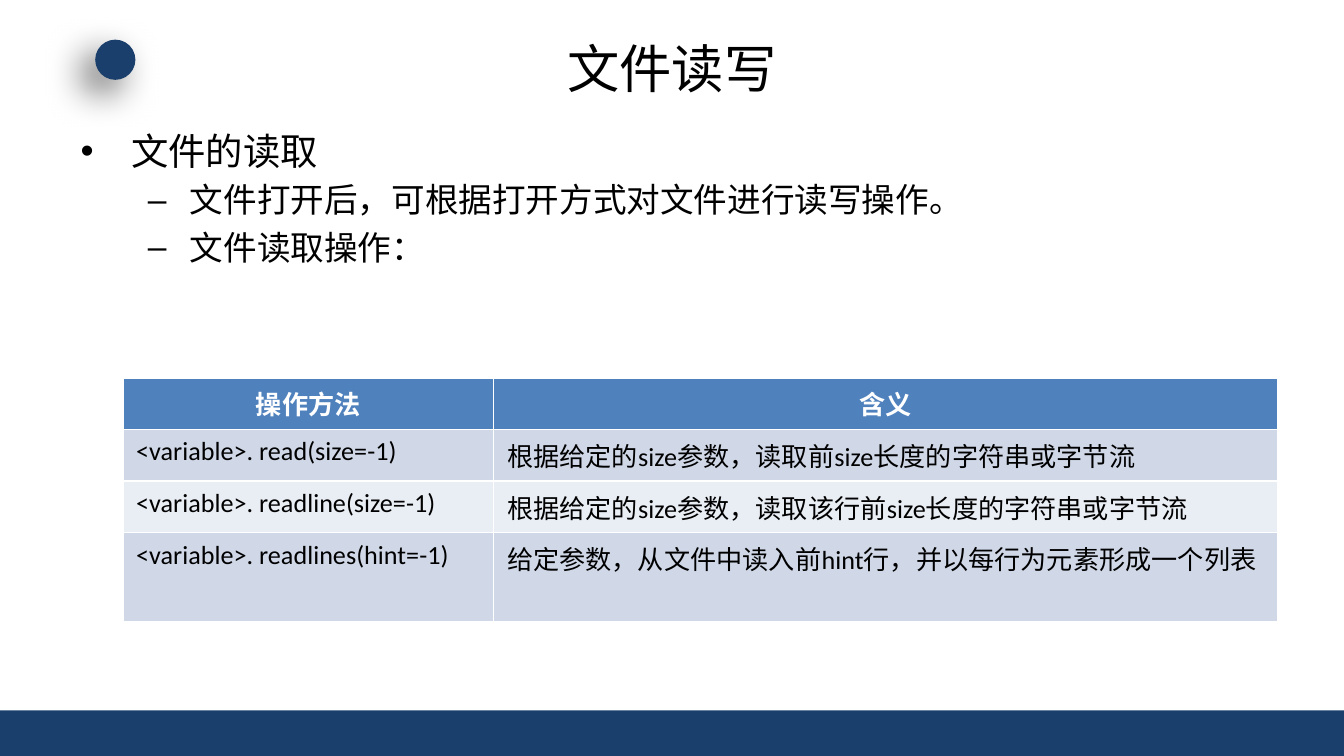
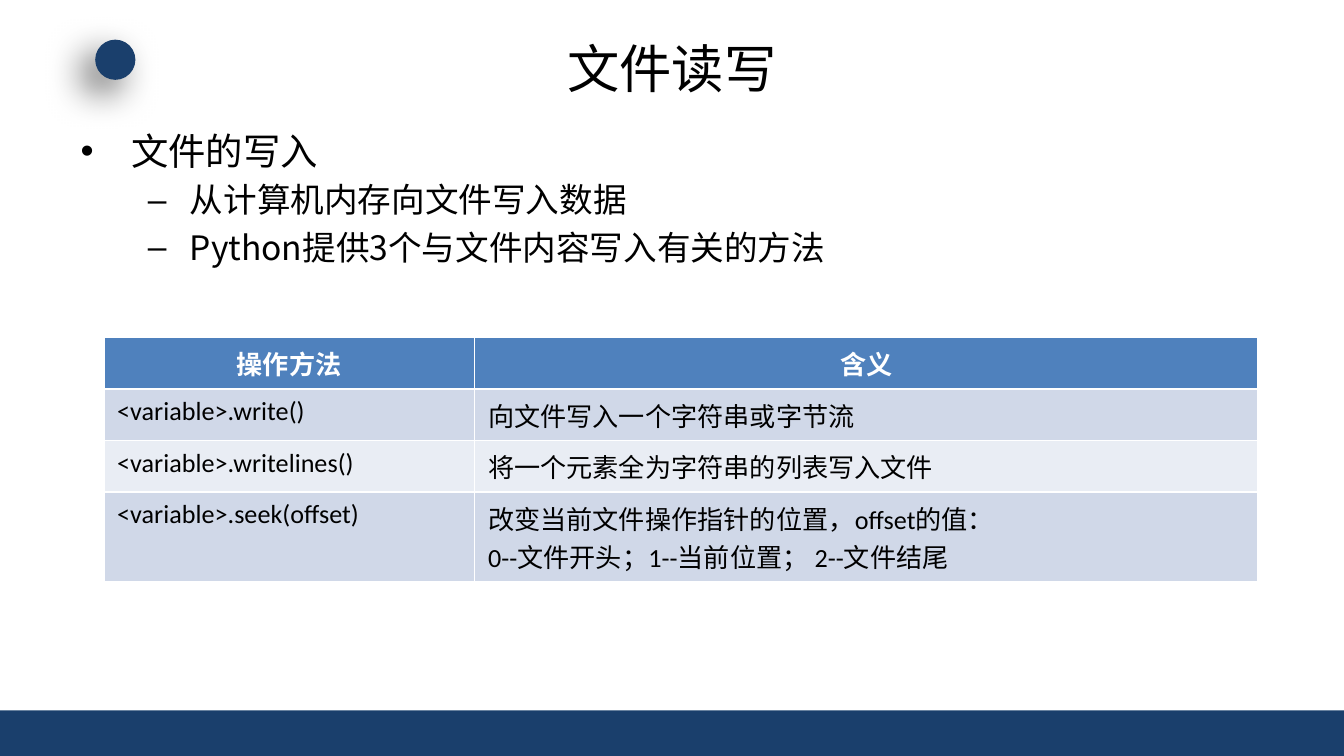
from lxml import etree
from pptx import Presentation
from pptx.dml.color import RGBColor
from pptx.enum.shapes import MSO_SHAPE as Preset
from pptx.enum.text import MSO_ANCHOR as Anchor, PP_ALIGN as Align
from pptx.oxml import parse_xml
from pptx.oxml.ns import nsdecls, qn
from pptx.util import Cm, Pt

NAVY = "1A3F6C"
BLACK = "000000"
WHITE = "FFFFFF"
HEADER_BLUE = "4F81BD"
ROW_BANDS = ("D0D8E8", "E9EDF4")
CJK_FONT = "Noto Sans CJK SC"
TABLE_FONT = "Calibri"
BODY_SIZES = (20, 18)
COLUMN_WIDTHS = (7.01, 14.81)
TABLE_HEADINGS = ("操作方法", "含义")


def color(value):
    return RGBColor.from_string(value)


def place(shape, left, top, width, height):
    shape.left, shape.top = Cm(left), Cm(top)
    shape.width, shape.height = Cm(width), Cm(height)


def add_text(paragraph, text, size, font_name=CJK_FONT, text_color=BLACK, bold=False):
    run = paragraph.add_run()
    run.text = text
    run.font.size = Pt(size)
    run.font.bold = bold
    run.font.name = font_name
    run.font.color.rgb = color(text_color)
    properties = run.font._element
    properties.set("lang", "zh-CN")
    east_asian = etree.Element(qn("a:ea"), typeface=CJK_FONT)
    properties.find(qn("a:latin")).addnext(east_asian)


def add_plain_shape(slide, preset, left, top, width, height):
    shape = slide.shapes.add_shape(preset, Cm(left), Cm(top), Cm(width), Cm(height))
    shape.shadow.inherit = False
    shape.fill.solid()
    shape.fill.fore_color.rgb = color(NAVY)
    shape.line.fill.background()
    return shape


def add_soft_shadow(shape):
    effects = shape.element.spPr.find(qn("a:effectLst"))
    effects.append(parse_xml(
        f'<a:outerShdw {nsdecls("a")} blurRad="{Pt(20)}" dist="{Pt(10)}" '
        f'dir="8100000" algn="tr" rotWithShape="0"><a:srgbClr val="{BLACK}">'
        '<a:alpha val="60000"/></a:srgbClr></a:outerShdw>'
    ))


def decorate_layout(layout, slide):
    band = add_plain_shape(slide, Preset.RECTANGLE, 0, 13.43, 25.4, 0.86)
    dot = add_plain_shape(slide, Preset.OVAL, 1.8, 0.75, 0.76, 0.76)
    add_soft_shadow(dot)
    for index, shape in enumerate((band, dot)):
        shape.element.nvSpPr.cNvPr.set("id", str(20 + index))
        layout.shapes.element.insert(2 + index, shape.element)


def fill_title(slide, text):
    title = slide.shapes.title
    place(title, 1.27, 0.58, 22.86, 1.4)
    title.text_frame.vertical_anchor = Anchor.MIDDLE
    paragraph = title.text_frame.paragraphs[0]
    paragraph.alignment = Align.CENTER
    add_text(paragraph, text, 28)


def fill_body(slide, height, heading, points):
    body = slide.placeholders[1]
    place(body, 1.27, 2.29, 23.19, height)
    frame = body.text_frame
    first = frame.paragraphs[0]
    first.space_before = Pt(0)
    add_text(first, heading, BODY_SIZES[0])
    for point in points:
        paragraph = frame.add_paragraph()
        paragraph.level = 1
        add_text(paragraph, point, BODY_SIZES[1])


def fill_cell(cell, text, fill, is_header):
    cell.fill.solid()
    cell.fill.fore_color.rgb = color(fill)
    frame = cell.text_frame
    for index, line in enumerate(text.split("\n")):
        paragraph = frame.add_paragraph() if index else frame.paragraphs[0]
        if is_header:
            paragraph.alignment = Align.CENTER
        add_text(paragraph, line, 14, TABLE_FONT, WHITE if is_header else BLACK, is_header)


def add_method_table(slide, left, top, row_heights, methods):
    rows = [TABLE_HEADINGS, *methods]
    frame = slide.shapes.add_table(
        len(rows), len(COLUMN_WIDTHS), Cm(left), Cm(top),
        Cm(sum(COLUMN_WIDTHS)), Cm(sum(row_heights)),
    )
    table = frame.table
    for column, width in zip(table.columns, COLUMN_WIDTHS):
        column.width = Cm(width)
    for index, (row, height, texts) in enumerate(zip(table.rows, row_heights, rows)):
        row.height = Cm(height)
        fill = ROW_BANDS[(index - 1) % 2] if index else HEADER_BLUE
        for cell, text in zip(row.cells, texts):
            fill_cell(cell, text, fill, index == 0)


def add_topic_slide(presentation, layout):
    slide = presentation.slides.add_slide(layout)
    fill_title(slide, "文件读写")
    return slide


def main():
    presentation = Presentation()
    presentation.slide_width, presentation.slide_height = Cm(25.4), Cm(14.29)
    layout = presentation.slide_layouts[1]

    reading = add_topic_slide(presentation, layout)
    decorate_layout(layout, reading)
    fill_body(reading, 10.95, "文件的读取", [
        "文件打开后，可根据打开方式对文件进行读写操作。",
        "文件读取操作：",
    ])
    add_method_table(reading, 2.32, 7.14, (0.51, 0.74, 0.89, 0.64), [
        ("<variable>. read(size=-1)", "根据给定的size参数，读取前size长度的字符串或字节流"),
        ("<variable>. readline(size=-1)", "根据给定的size参数，读取该行前size长度的字符串或字节流"),
        ("<variable>. readlines(hint=-1)", "给定参数，从文件中读入前hint行，并以每行为元素形成一个列表"),
    ])

    writing = add_topic_slide(presentation, layout)
    fill_body(writing, 3.53, "文件的写入", [
        "从计算机内存向文件写入数据",
        "Python提供3个与文件内容写入有关的方法",
    ])
    add_method_table(writing, 1.96, 6.38, (0.51, 0.89, 0.89, 0.64), [
        ("<variable>.write()", "向文件写入一个字符串或字节流"),
        ("<variable>.writelines()", "将一个元素全为字符串的列表写入文件"),
        ("<variable>.seek(offset)", "改变当前文件操作指针的位置，offset的值：\n0--文件开头；1--当前位置； 2--文件结尾"),
    ])

    presentation.save("out.pptx")


if __name__ == "__main__":
    main()
